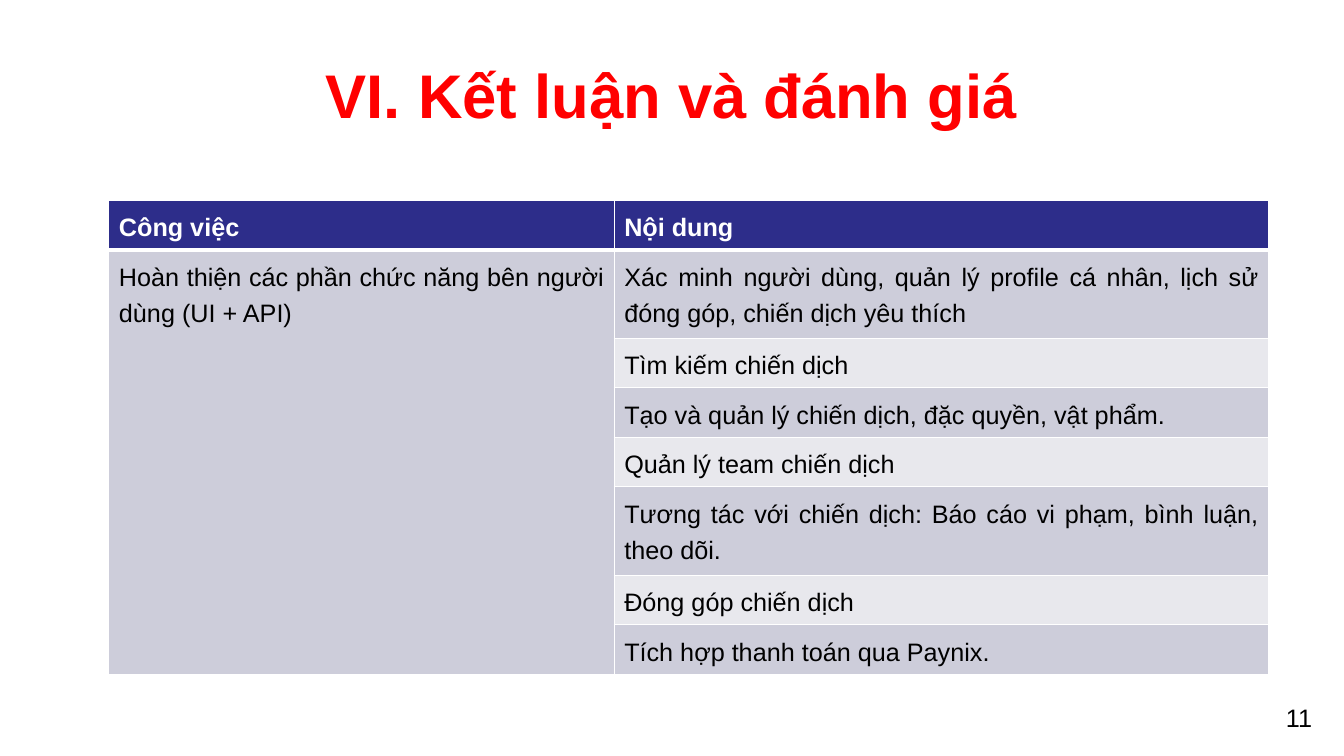
"""Build the conclusion slide: a title, a table of finished work and a page number."""
from dataclasses import dataclass

from lxml.etree import SubElement
from pptx import Presentation
from pptx.dml.color import RGBColor
from pptx.enum.text import MSO_ANCHOR, PP_ALIGN
from pptx.oxml.ns import qn
from pptx.util import Inches, Pt

WIDTH, HEIGHT = Inches(13.33), Inches(7.5)


@dataclass(frozen=True)
class Theme:
    """Colours and type sizes of the slide."""
    font: str = "Arial"
    title: str = "FF0000"
    text: str = "000000"
    white: str = "FFFFFF"
    header: str = "2D2D8A"
    bands: tuple = ("CDCDDA", "E8E8ED")
    title_size: int = 44
    body_size: int = 18
    line_spacing: float = 1.3
    rule: int = 1
    header_rule: int = 3


THEME = Theme()
HEADINGS = ("Công việc", "Nội dung")
TASK = "Hoàn thiện các phần chức năng bên người dùng (UI + API)"
CONTENTS = (
    "Xác minh người dùng, quản lý profile cá nhân, lịch sử đóng góp, chiến dịch yêu thích",
    "Tìm kiếm chiến dịch",
    "Tạo và quản lý chiến dịch, đặc quyền, vật phẩm.",
    "Quản lý team chiến dịch",
    "Tương tác với chiến dịch: Báo cáo vi phạm, bình luận, theo dõi.",
    "Đóng góp chiến dịch",
    "Tích hợp thanh toán qua Paynix.",
)
COLUMN_SHARES = (0.376, 0.487)
ONE_LINE, TWO_LINES = 0.062, 0.11
WRAP_AT = 55


def style(p, size, color, align, bold=False):
    """Set the alignment and font of a paragraph."""
    p.alignment = align
    p.font.name, p.font.size, p.font.bold = THEME.font, Pt(size), bold
    p.font.color.rgb = RGBColor.from_string(color)


def add_text(s, text, box, size, color, anchor=MSO_ANCHOR.TOP, bold=False):
    """Add centred text in a box given as shares of the slide."""
    x, y, w, h = box
    sp = s.shapes.add_textbox(int(x * WIDTH), int(y * HEIGHT), int(w * WIDTH), int(h * HEIGHT))
    tf = sp.text_frame
    tf.word_wrap, tf.vertical_anchor = True, anchor
    p = tf.paragraphs[0]
    p.text = text
    style(p, size, color, PP_ALIGN.CENTER, bold)


def set_borders(cell, top, bottom):
    """Draw white rules on the four sides of a cell."""
    tc_pr = cell._tc.get_or_add_tcPr()
    sides = {"L": THEME.rule, "R": THEME.rule, "T": top, "B": bottom}
    for i, (side, width) in enumerate(sides.items()):
        ln = SubElement(tc_pr, qn(f"a:ln{side}"), w=str(Pt(width)))
        SubElement(SubElement(ln, qn("a:solidFill")), qn("a:srgbClr"), val=THEME.white)
        tc_pr.insert(i, ln)


def fill_cell(cell, text, row):
    """Write one cell and colour it by its row."""
    header = row == 0
    p = cell.text_frame.paragraphs[0]
    p.text, p.line_spacing = text, THEME.line_spacing
    style(p, THEME.body_size, THEME.white if header else THEME.text, PP_ALIGN.JUSTIFY, header)
    cell.fill.solid()
    color = THEME.header if header else THEME.bands[(row - 1) % 2]
    cell.fill.fore_color.rgb = RGBColor.from_string(color)
    set_borders(cell, THEME.header_rule if row == 1 else THEME.rule,
                THEME.header_rule if header else THEME.rule)


def add_work_table(s, x, y):
    """Add the table whose single task spans all content rows."""
    rows = [HEADINGS] + [(TASK if i == 0 else "", text) for i, text in enumerate(CONTENTS)]
    heights = [TWO_LINES if len(text) > WRAP_AT else ONE_LINE for _, text in rows]
    table = s.shapes.add_table(len(rows), len(HEADINGS), int(x * WIDTH), int(y * HEIGHT),
                               int(sum(COLUMN_SHARES) * WIDTH), int(sum(heights) * HEIGHT)).table
    for column, share in zip(table.columns, COLUMN_SHARES):
        column.width = int(share * WIDTH)
    for i, (texts, share) in enumerate(zip(rows, heights)):
        table.rows[i].height = int(share * HEIGHT)
        for j, text in enumerate(texts):
            fill_cell(table.cell(i, j), text, i)
    table.cell(1, 0).merge(table.cell(len(CONTENTS), 0))


def main():
    """Build and save the slide."""
    prs = Presentation()
    prs.slide_width, prs.slide_height = WIDTH, HEIGHT
    s = prs.slides.add_slide(prs.slide_layouts[6])
    add_text(s, "11", (0.933, 0.923, 0.067, 0.053), THEME.body_size, THEME.text)
    add_text(s, "VI. Kết luận và đánh giá", (0.05, 0.04, 0.9, 0.167), THEME.title_size,
             THEME.title, MSO_ANCHOR.MIDDLE, True)
    add_work_table(s, 0.081, 0.265)
    prs.save("out.pptx")


if __name__ == "__main__":
    main()
